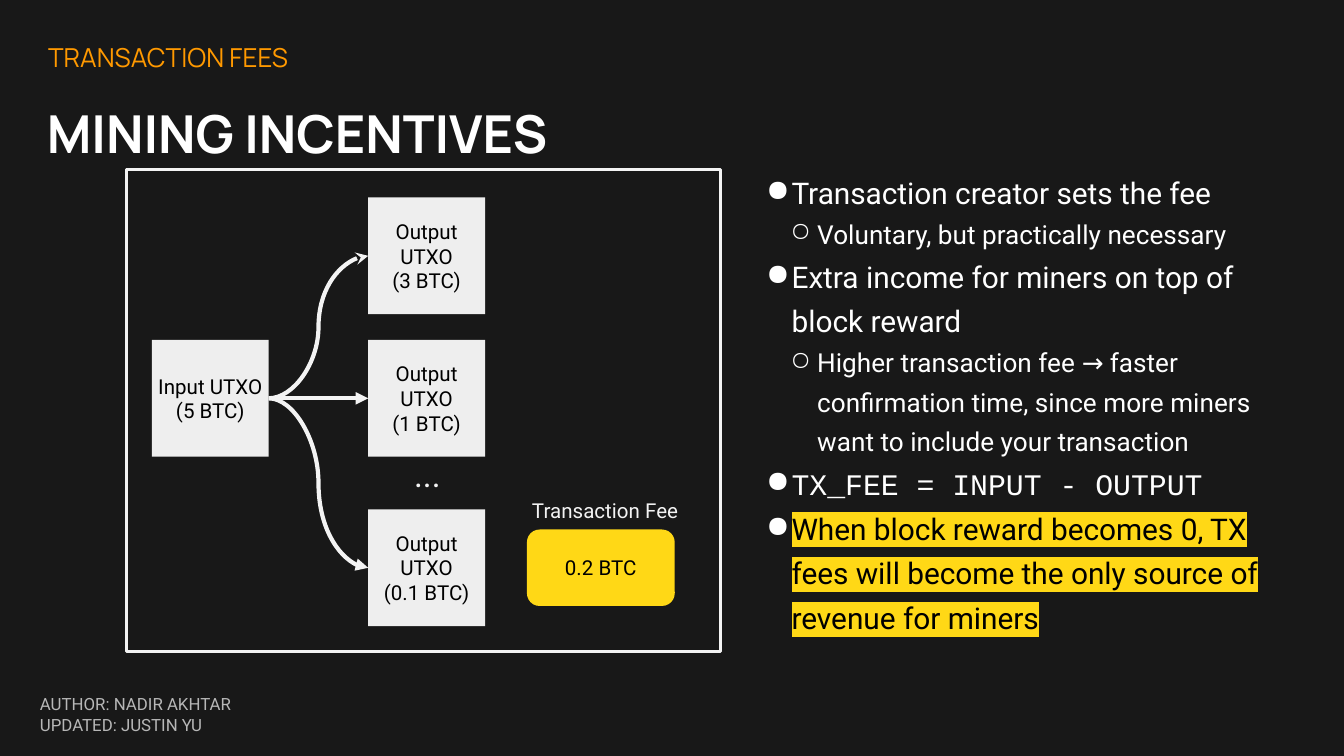
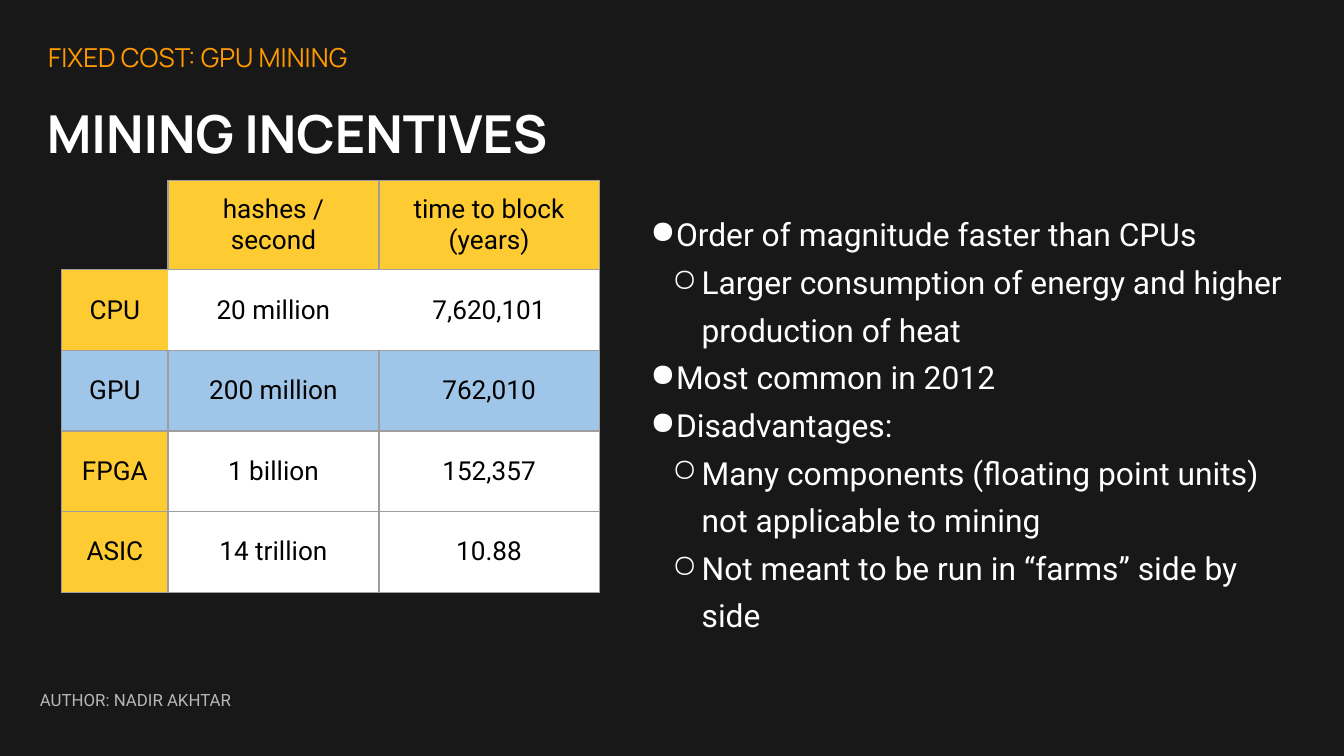
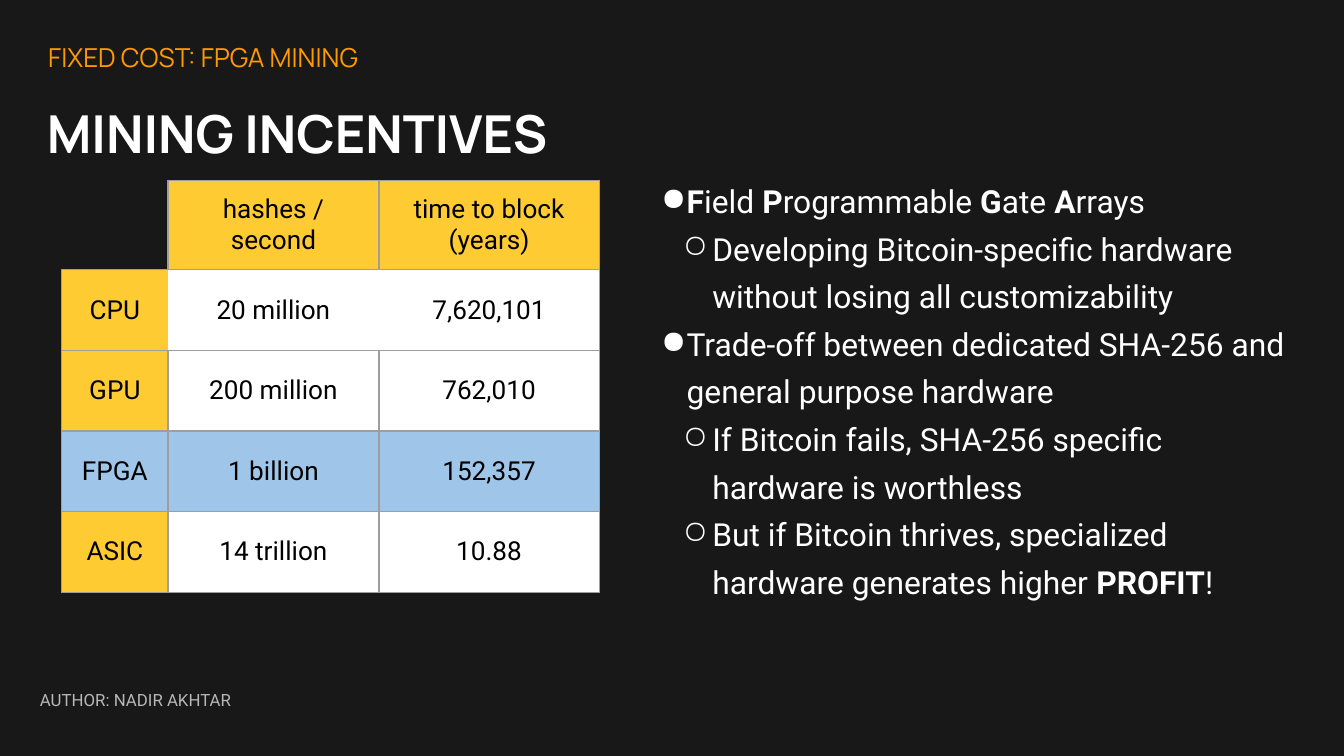
from lxml.etree import SubElement
from pptx import Presentation
from pptx.dml.color import RGBColor
from pptx.enum.shapes import MSO_CONNECTOR, MSO_SHAPE
from pptx.enum.text import MSO_ANCHOR, PP_ALIGN
from pptx.oxml import parse_xml
from pptx.oxml.ns import nsdecls, qn
from pptx.util import Pt

DARK, WHITE, BLACK = "181818", "FFFFFF", "000000"
PALE, GREY, TILE = "F3F3F3", "B7B7B7", "EEEEEE"
ORANGE, YELLOW = "FF9900", "FFD816"
GOLD, BLUE, RULE = "FECB33", "9FC5E8", "9E9E9E"
BODY, HEAD, CODE = "Roboto", "Manrope", "Courier New"
PLAIN_GRID = "{2D5ABB26-0587-4C30-8999-92F81FD0307C}"
INSET = 2.7

RATES = [
    ("", "hashes / second", "time to block (years)"),
    ("CPU", "20 million", "7,620,101"),
    ("GPU", "200 million", "762,010"),
    ("FPGA", "1 billion", "152,357"),
    ("ASIC", "14 trillion", "10.88"),
]

FEES = [
    (0, "Transaction creator sets the fee"),
    (1, "Voluntary, but practically necessary"),
    (0, "Extra income for miners on top of block reward"),
    (1, "Higher transaction fee → faster confirmation time, since more "
        "miners want to include your transaction"),
    (0, "TX_FEE = INPUT - OUTPUT", "code"),
    (0, "When block reward becomes 0, TX fees will become the only source "
        "of revenue for miners", "mark"),
]
GPU = [
    (0, "Order of magnitude faster than CPUs"),
    (1, "Larger consumption of energy and higher production of heat"),
    (0, "Most common in 2012"),
    (0, "Disadvantages:"),
    (1, "Many components (floating point units) not applicable to mining"),
    (1, "Not meant to be run in “farms” side by side"),
]
FPGA = [
    (0, "*F*ield *P*rogrammable *G*ate *A*rrays"),
    (1, "Developing Bitcoin-specific hardware without losing all "
        "customizability"),
    (0, "Trade-off between dedicated SHA-256 and general purpose hardware"),
    (1, "If Bitcoin fails, SHA-256 specific hardware is worthless"),
    (1, "But if Bitcoin thrives, specialized hardware generates higher "
        "*PROFIT*!"),
]


def tint(code):
    """Turn a hex string into a colour."""
    return RGBColor.from_string(code)


def pts(*nums):
    """Turn numbers into point lengths."""
    return [Pt(num) for num in nums]


def style(font, size, hue, face=BODY, bold=None):
    """Format one font."""
    font.size, font.name, font.bold = Pt(size), face, bold
    font.color.rgb = tint(hue)


def write(shape, text, size, hue, face=BODY, bold=None, align=PP_ALIGN.LEFT,
          inset=INSET, space=None):
    """Fill a shape with text in one style."""
    frame = shape.text_frame
    frame.text = text
    frame.word_wrap = True
    frame.margin_left = frame.margin_right = Pt(inset)
    frame.margin_top = frame.margin_bottom = Pt(inset)
    for para in frame.paragraphs:
        para.alignment = align
        para.line_spacing = space
        for run in para.runs:
            style(run.font, size, hue, face, bold)
    return frame


def label(slide, box, text, size, hue, **look):
    """Add a text box."""
    return write(slide.shapes.add_textbox(*pts(*box)), text, size, hue, **look)


def block(slide, kind, box, fill=None, line=None):
    """Add a flat shape, filled or outlined."""
    shape = slide.shapes.add_shape(kind, *pts(*box))
    shape.shadow.inherit = False
    if fill:
        shape.fill.solid()
        shape.fill.fore_color.rgb = tint(fill)
    else:
        shape.fill.background()
    if line:
        shape.line.color.rgb = tint(line)
        shape.line.width = Pt(1.5)
    else:
        shape.line.fill.background()
    return shape


def node(slide, kind, box, fill, text):
    """Add a filled shape with centred text."""
    shape = block(slide, kind, box, fill)
    frame = write(shape, text, 11, BLACK, align=PP_ALIGN.CENTER)
    frame.vertical_anchor = MSO_ANCHOR.MIDDLE


def arrow(slide, kind, start, end, tip):
    """Draw an arrow between two points."""
    link = slide.shapes.add_connector(kind, *pts(*start, *end))
    link.line.color.rgb = tint(PALE)
    link.line.width = Pt(2.25)
    SubElement(link.line._get_or_add_ln(), qn("a:tailEnd"), type=tip)
    SubElement(link._element.spPr, qn("a:effectLst"))


def flow(slide, box):
    """Draw the frame with the input, its outputs and the fee."""
    left, top, _, _ = box
    side, mid = 62.6, 31.3
    block(slide, MSO_SHAPE.RECTANGLE, box, line=PALE)
    source, goal, first = left + 13.7, left + 129.6, top + 91.4
    node(slide, MSO_SHAPE.RECTANGLE, (source, first, side, side), TILE,
         "Input UTXO\n(5 BTC)")
    outs = [
        (15.1, "3", MSO_CONNECTOR.CURVE, "stealth"),
        (91.4, "1", MSO_CONNECTOR.STRAIGHT, "triangle"),
        (182.2, "0.1", MSO_CONNECTOR.CURVE, "triangle"),
    ]
    for drop, coins, kind, tip in outs:
        node(slide, MSO_SHAPE.RECTANGLE, (goal, top + drop, side, side), TILE,
             f"Output UTXO\n({coins} BTC)")
        arrow(slide, kind, (source + side, first + mid),
              (goal, top + drop + mid), tip)
    label(slide, (left + 136.1, top + 149.8, 50.4, 37.4), "...", 18, PALE,
          align=PP_ALIGN.CENTER)
    node(slide, MSO_SHAPE.ROUNDED_RECTANGLE,
         (left + 214.6, top + 193, 79.2, 41), YELLOW, "0.2 BTC")
    label(slide, (left + 214.6, top + 173.5, 85, 23.8), "Transaction Fee", 11,
          PALE)


def bullet(para, level, hang):
    """Give a paragraph its indent and bullet."""
    para.level = level
    props = para._p.get_or_add_pPr()
    props.set("marL", str(Pt(13.7 * (level + 1))))
    props.set("indent", str(-Pt(hang)))
    hue = SubElement(props, qn("a:buClr"))
    SubElement(hue, qn("a:srgbClr"), val=WHITE)
    SubElement(props, qn("a:buChar"), char="●○"[level])
    para.line_spacing = 1.25


def mark(run):
    """Put a yellow highlight behind a run."""
    run.font.color.rgb = tint(BLACK)
    band = parse_xml(f'<a:highlight {nsdecls("a")}>'
                     f'<a:srgbClr val="{YELLOW}"/></a:highlight>')
    run._r.rPr.find(qn("a:solidFill")).addnext(band)


def points(slide, box, items, sizes, hang):
    """Write a bullet list, with bold between asterisks."""
    frame = slide.shapes.add_textbox(*pts(*box)).text_frame
    frame.word_wrap = True
    frame.margin_left = frame.margin_right = 0
    frame.margin_top = frame.margin_bottom = 0
    for pos, (level, text, *mode) in enumerate(items):
        para = frame.add_paragraph() if pos else frame.paragraphs[0]
        bullet(para, level, hang)
        face = CODE if "code" in mode else BODY
        for turn, part in enumerate(text.split("*")):
            if part:
                run = para.add_run()
                run.text = part
                style(run.font, sizes[level], WHITE, face, turn % 2 == 1)
                if "mark" in mode:
                    mark(run)


def sides(row, col):
    """Name the ruled sides of a cell."""
    if row == 0 and col == 0:
        return "RB"
    if row == 1:
        return ("LTB", "TB", "RTB")[col]
    return "LRTB"


def edge(cell, names):
    """Rule the named sides of a cell."""
    props = cell._tc.get_or_add_tcPr()
    for pos, name in enumerate(names):
        props.insert(pos, parse_xml(
            f'<a:ln{name} {nsdecls("a")} w="{Pt(0.75)}"><a:solidFill>'
            f'<a:srgbClr val="{RULE}"/></a:solidFill></a:ln{name}>'))


def rates(slide, spot, chosen):
    """Add the hash rate table with one row chosen."""
    wide, high = (56.9, 113, 118.1), 43.2
    table = slide.shapes.add_table(
        len(RATES), len(wide), *pts(*spot, sum(wide), high * len(RATES))).table
    table.first_row = table.horz_banding = False
    table._tbl.tblPr[0].text = PLAIN_GRID
    for col, width in zip(table.columns, wide):
        col.width = Pt(width)
    for row, texts in enumerate(RATES):
        table.rows[row].height = Pt(high)
        for col, text in enumerate(texts):
            cell = table.cell(row, col)
            cell.vertical_anchor = MSO_ANCHOR.MIDDLE
            cell.margin_left = cell.margin_right = Pt(7.2)
            cell.margin_top = cell.margin_bottom = Pt(7.2)
            if text:
                cell.text = text
                para = cell.text_frame.paragraphs[0]
                para.alignment = PP_ALIGN.CENTER
                style(para.runs[0].font, 14, BLACK)
                cell.fill.solid()
                hue = GOLD if row == 0 or col == 0 else WHITE
                cell.fill.fore_color.rgb = tint(
                    BLUE if texts[0] == chosen else hue)
            else:
                cell.fill.background()
            edge(cell, sides(row, col))


def base(deck, topic, credit):
    """Add a dark slide with its titles and footer."""
    slide = deck.slides.add_slide(deck.slide_layouts[6])
    slide.background.fill.solid()
    slide.background.fill.fore_color.rgb = tint(DARK)
    foot = label(slide, (18.7, 358.6, 158.4, 41), credit, 9, GREY)
    foot.margin_top = Pt(13.3)
    label(slide, (18, 30.2, 668.9, 45.4), "MINING INCENTIVES", 28, WHITE,
          face=HEAD, bold=True, inset=7.2, space=1.5)
    label(slide, (18.7, 15.1, 668.9, 31), topic, 14, ORANGE, face=HEAD,
          inset=7.2)
    return slide


def main():
    """Build the deck."""
    deck = Presentation()
    deck.slide_width, deck.slide_height = pts(720, 405)
    author = "AUTHOR: NADIR AKHTAR"
    slide = base(deck, "TRANSACTION FEES", author + "\nUPDATED: JUSTIN YU")
    flow(slide, (67.7, 90.7, 318.2, 258.5))
    points(slide, (410.4, 88.6, 276.5, 242.6), FEES, (16, 14), 14.4)
    lists = [
        ("GPU", GPU, (348.5, 110.2, 345.6, 206.6)),
        ("FPGA", FPGA, (354.2, 92.2, 335.5, 229)),
    ]
    for chip, items, box in lists:
        slide = base(deck, f"FIXED COST: {chip} MINING", author)
        points(slide, box, items, (17, 17), 15.8)
        rates(slide, (33.1, 96.5), chip)
    deck.save("out.pptx")


if __name__ == "__main__":
    main()
